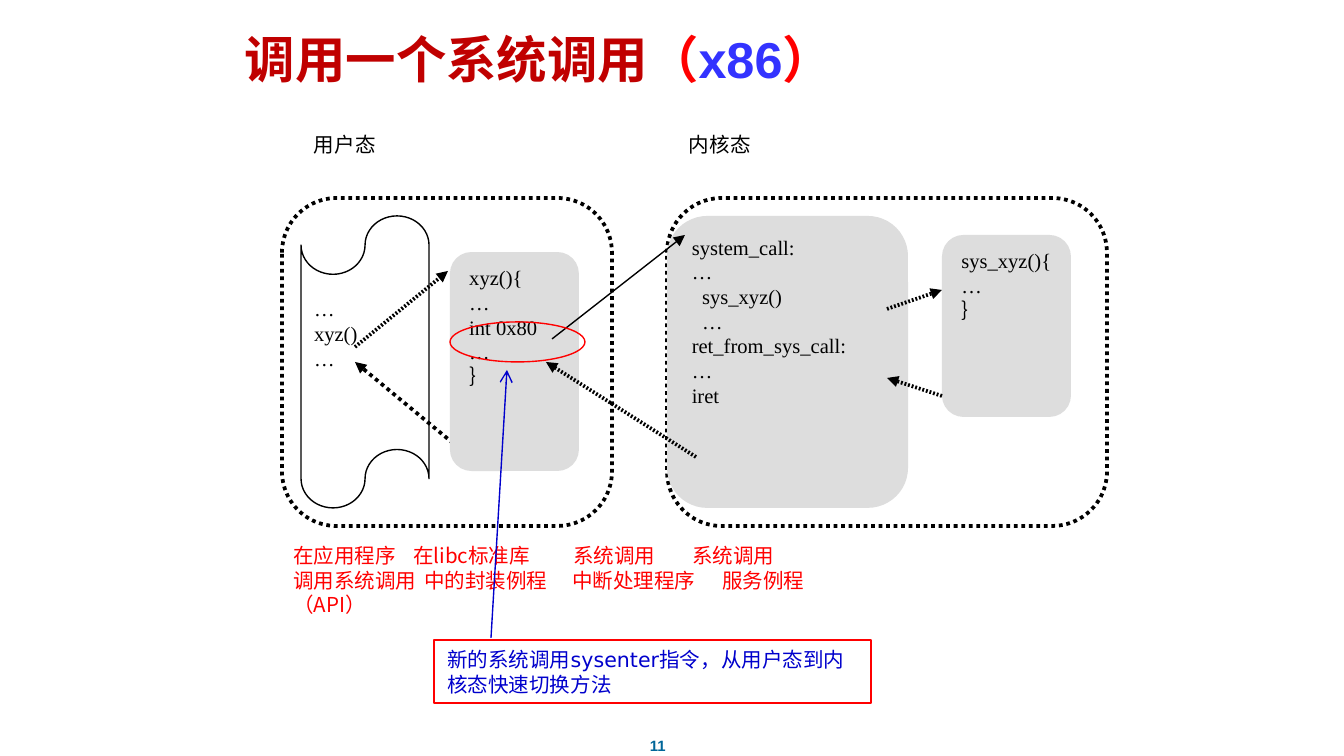
from dataclasses import dataclass
from lxml import etree
from pptx import Presentation, util as u
from pptx.dml.color import RGBColor
from pptx.enum import shapes, text
from pptx.oxml.ns import qn


@dataclass(frozen=True)
class Theme:
    black: str = "000000"
    white: str = "FFFFFF"
    gray: str = "DDDDDD"
    red: str = "FF0000"
    dark_red: str = "C00000"
    violet: str = "3333FF"
    blue: str = "0000CC"
    teal: str = "006699"
    title_size: int = 27
    body_size: int = 11
    number_size: int = 8
    thin: float = 0.75
    thick: float = 2
    chinese: str = "Noto Sans CJK SC"
    sans: str = "DejaVu Sans"
    code: str = "Times New Roman"
    heading: str = "Arial"


THEME = Theme()
SCALE = 914400 / 134.4
KIND = shapes.MSO_SHAPE
ALIGN = text.PP_ALIGN

TITLE_BOX = (67, 31, 944, 63)
TITLE = [
    ("调用一个系统调用", THEME.chinese, THEME.dark_red),
    ("（", THEME.heading, THEME.red),
    ("x86", THEME.heading, THEME.violet),
    ("）", THEME.heading, THEME.red),
]
MODE_FRAMES = [(282, 198, 330, 328), (667, 198, 440, 328)]
APPLICATION = ((301, 216, 128, 292), ["…", "xyz()", "…"])
ROUTINES = [
    ((667, 216, 241, 292), ["system_call:", "…", "  sys_xyz()", "  …",
                            "ret_from_sys_call:", "…", "iret"]),
    ((450, 252, 129, 219), ["xyz(){", "…", "int 0x80", "…", "｝"]),
    ((942, 235, 129, 182), ["sys_xyz(){", "…", "｝"]),
]
FLOWS = [
    ((355, 347), (448, 271), "fine"),
    ((465, 453), (355, 362), "dots"),
    ((552, 339), (685, 235), None),
    ((696, 457), (546, 362), "fine"),
    ((887, 309), (942, 290), "fine"),
    ((942, 396), (887, 378), "fine"),
]
MODE_LABELS = ((301, 125, 788, 55), [("用户态\t内核态", [375])])
CAPTIONS = ((280, 536, 896, 89), [
    ("在应用程序\t在libc标准库\t系统调用\t系统调用", [120, 280, 399]),
    ("调用系统调用\t中的封装例程\t中断处理程序\t服务例程", [131, 279, 429]),
    ("（API）", []),
])
NOTE = ((434, 640, 437, 63), ["新的系统调用sysenter指令，从用户态到内核态快速切换方法"])
TRAP = (450, 322, 135, 40)
NOTE_ARROW = ((491, 638), (507, 370))
NUMBER = ((610, 730, 96, 29), ["11"])


def px(value):
    return u.Emu(round(value * SCALE))


def style(span, font, size, color, bold=False):
    span.font.name, span.font.size, span.font.bold = font, u.Pt(size), bold
    span.font.color.rgb = RGBColor.from_string(color)
    east = etree.SubElement(span._r.get_or_add_rPr(), qn("a:ea"))
    east.set("typeface", THEME.chinese)


def write(shape, lines, font, color, size=THEME.body_size, align=ALIGN.JUSTIFY,
          top=7, bold=False):
    frame = shape.text_frame
    frame.word_wrap = True
    frame.vertical_anchor = text.MSO_ANCHOR.TOP
    frame.margin_left = frame.margin_right = px(13)
    frame.margin_top, frame.margin_bottom = px(top), px(7)
    rows = [(line, []) if isinstance(line, str) else line for line in lines]
    for index, (words, stops) in enumerate(rows):
        para = frame.paragraphs[0] if index == 0 else frame.add_paragraph()
        para.text, para.alignment = words, align
        if stops:
            tabs = etree.SubElement(para._p.get_or_add_pPr(), qn("a:tabLst"))
            for stop in stops:
                etree.SubElement(tabs, qn("a:tab"), pos=str(px(stop)), algn="l")
        for span in para.runs:
            style(span, font, size, color, bold)


def set_line(shape, color, width, dash=None, arrow=None):
    shape.line.color.rgb = RGBColor.from_string(color)
    shape.line.width = u.Pt(width)
    line = shape.line._get_or_add_ln()
    if dash == "dots":
        etree.SubElement(line, qn("a:prstDash"), val="sysDot")
    elif dash == "fine":
        custom = etree.SubElement(line, qn("a:custDash"))
        etree.SubElement(custom, qn("a:ds"), d="50000", sp="50000")
    if arrow:
        etree.SubElement(line, qn("a:tailEnd"), type=arrow)


def add_shape(page, kind, area, fill=None, line=None, width=THEME.thin, dash=None):
    shape = page.shapes.add_shape(kind, *map(px, area))
    shape.shadow.inherit = False
    if fill:
        shape.fill.solid()
        shape.fill.fore_color.rgb = RGBColor.from_string(fill)
    else:
        shape.fill.background()
    if line:
        set_line(shape, line, width, dash)
    else:
        shape.line.fill.background()
    return shape


def add_arrow(page, start, end, color, width, dash=None, arrow="triangle"):
    line = page.shapes.add_connector(shapes.MSO_CONNECTOR.STRAIGHT, *map(px, start + end))
    set_line(line, color, width, dash, arrow)
    etree.SubElement(line._element.spPr, qn("a:effectLst"))


def add_title(page):
    title = page.shapes.title
    title.left, title.top, title.width, title.height = map(px, TITLE_BOX)
    frame = title.text_frame
    frame.vertical_anchor = text.MSO_ANCHOR.BOTTOM
    frame.auto_size = text.MSO_AUTO_SIZE.NONE
    frame.margin_top = frame.margin_bottom = px(5)
    para = frame.paragraphs[0]
    para.alignment = ALIGN.CENTER
    for words, font, color in TITLE:
        span = para.add_run()
        span.text = words
        style(span, font, THEME.title_size, color, True)


def main():
    deck = Presentation()
    deck.slide_width, deck.slide_height = px(1344), px(756)
    page = deck.slides.add_slide(deck.slide_layouts[5])
    add_title(page)

    for area in MODE_FRAMES:
        add_shape(page, KIND.ROUNDED_RECTANGLE, area, THEME.white, THEME.black,
                  THEME.thick, "dots")
    area, lines = APPLICATION
    tape = add_shape(page, KIND.FLOWCHART_PUNCHED_TAPE, area, THEME.white, THEME.black)
    write(tape, lines, THEME.code, THEME.black, top=22)
    for start, end, dash in FLOWS[:2]:
        add_arrow(page, start, end, THEME.black, THEME.thick, dash)
    for area, lines in ROUTINES:
        routine = add_shape(page, KIND.ROUNDED_RECTANGLE, area, THEME.gray)
        write(routine, lines, THEME.code, THEME.black)
    for start, end, dash in FLOWS[2:]:
        add_arrow(page, start, end, THEME.black, THEME.thick if dash else THEME.thin, dash)

    for (area, lines), font, color in [
        (CAPTIONS, THEME.chinese, THEME.red),
        (MODE_LABELS, THEME.code, THEME.black),
    ]:
        label = add_shape(page, KIND.RECTANGLE, area, THEME.white)
        write(label, lines, font, color, align=ALIGN.LEFT)
    area, lines = NOTE
    note = add_shape(page, KIND.RECTANGLE, area, line=THEME.red)
    write(note, lines, THEME.sans, THEME.blue, align=ALIGN.LEFT)
    add_shape(page, KIND.OVAL, TRAP, line=THEME.red)
    add_arrow(page, *NOTE_ARROW, THEME.blue, THEME.thin, arrow="arrow")

    area, lines = NUMBER
    number = page.shapes.add_textbox(*map(px, area))
    write(number, lines, THEME.heading, THEME.teal, THEME.number_size, ALIGN.CENTER, bold=True)
    deck.save("out.pptx")


if __name__ == "__main__":
    main()
